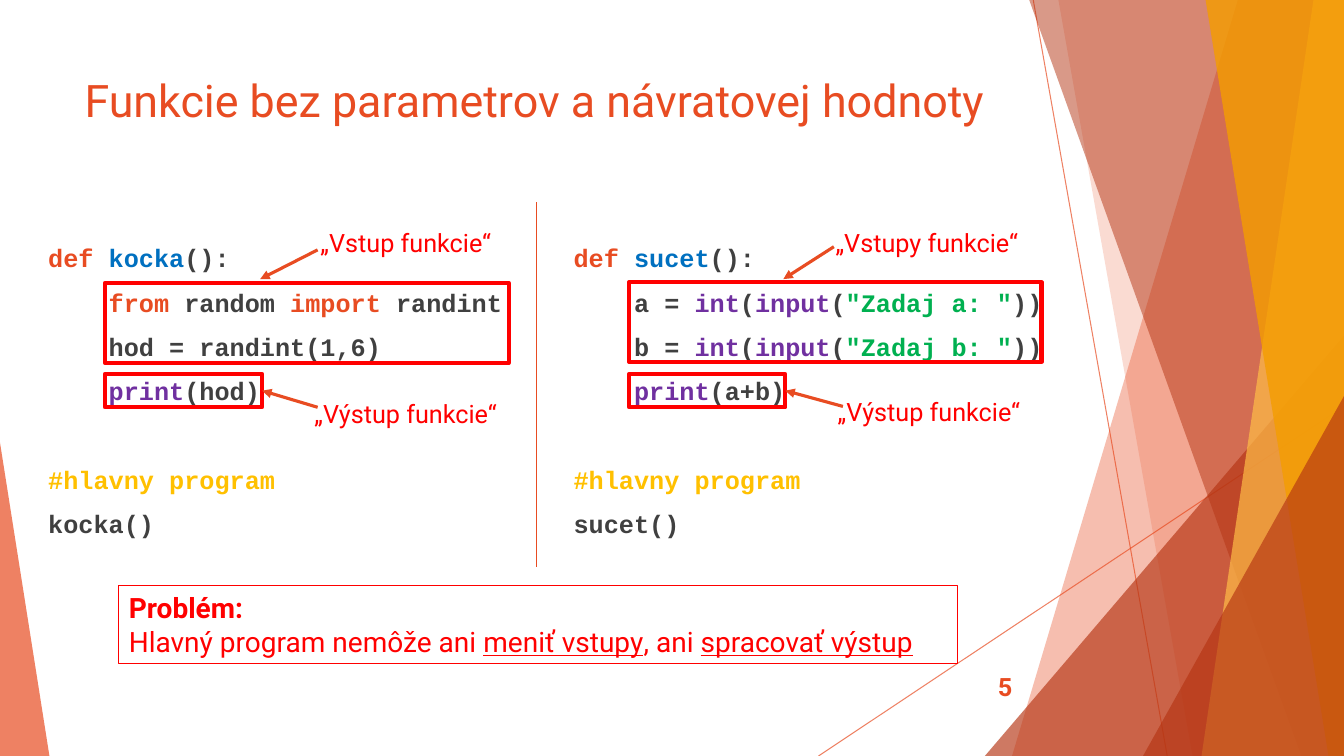
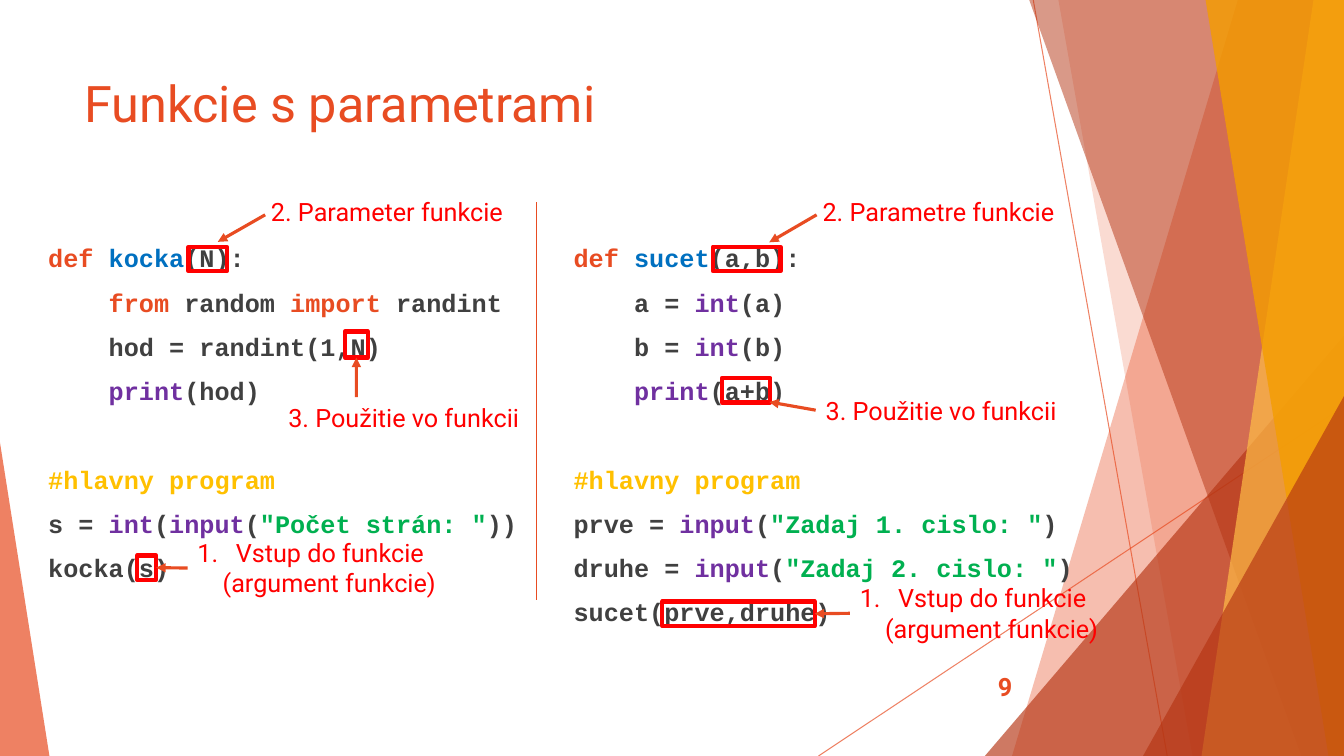
from dataclasses import dataclass
from typing import NamedTuple

from lxml import etree
from pptx import Presentation
from pptx import util as u
from pptx.dml.color import RGBColor
from pptx.enum import shapes, text
from pptx.oxml.ns import qn


@dataclass(frozen=True)
class Theme:
    accent: str = "E84C22"
    dark: str = "B53513"
    sand: str = "FFBD47"
    amber: str = "F49D00"
    mark: str = "FF0000"
    plain: str = "404040"
    function: str = "0070C0"
    builtin: str = "7030A0"
    string: str = "00B050"
    comment: str = "FFC000"
    sans: str = "Roboto"
    mono: str = "Courier New"
    body: float = 18
    problem: float = 20
    code_space: float = 10
    code_gap: float = 41.6


T = Theme()
WIDTH, HEIGHT = 13.33, 7.5
CHAR, LINE = 0.15, 0.44  # code grid: one character wide, one line high
CODE_TOP = 2.36
TOKEN_COLOURS = {
    **dict.fromkeys(("def", "from", "import"), T.accent),
    **dict.fromkeys(("kocka", "sucet"), T.function),
    **dict.fromkeys(("int", "input", "print"), T.builtin),
}


class Box(NamedTuple):
    x: float
    y: float
    w: float
    h: float


class Point(NamedTuple):
    x: float
    y: float


class Run(NamedTuple):
    text: str
    colour: str = T.mark
    size: float = T.body
    bold: bool = False
    underline: bool = False
    font: str = T.sans


class Ribbon(NamedTuple):
    """Band to the right slide edge; top and bottom in % of the width."""
    top: float
    bottom: float
    colour: str
    opacity: int


class Wedge(NamedTuple):
    """Right-angled triangle on the slide bottom, in % of the slide."""
    x: float
    y: float
    w: float
    apex: float
    colour: str
    opacity: int


class Note(NamedTuple):
    x: float
    y: float
    w: float
    lines: tuple[str, ...]


End = Point | int  # a free point, or a connection site


@dataclass(frozen=True)
class Callout:
    """Framed code, its note and the arrow between, on the code grid."""
    frame: Box
    note: Note
    start: End
    end: End


@dataclass(frozen=True)
class Panel:
    left: float
    width: float
    code: tuple[str, ...]
    callouts: tuple[Callout, ...]


@dataclass(frozen=True)
class Page:
    title: str
    title_size: float
    number: str
    divider_end: float
    panels: tuple[Panel, ...]
    problem: tuple[tuple[Run, ...], ...] = ()


DECOR = (
    Ribbon(92.1, 75.3, T.accent, 36),
    Ribbon(78.75, 88.73, T.accent, 20),
    Wedge(73.28, 44.4, 26.72, 1, T.dark, 66),
    Ribbon(76.58, 96.83, T.dark, 50),
    Ribbon(97.73, 89.4, T.sand, 70),
    Ribbon(89.7, 98.85, T.amber, 80),
    Wedge(85.05, 52.4, 14.95, 1, T.dark, 66),
    Wedge(0, 58.53, 3.68, 0, T.accent, 70),
)
RAYS = ((Point(76.88, 0), Point(86.85, 100)), (Point(100, 53.73), Point(60.9, 100)))
TITLE = Box(5.55, 8.93, 73.65, 19.2)
NUMBER = Box(70.43, 88.13, 5.63, 5.33)
PROBLEM = Box(8.85, 77.47, 62.4, 10.27)


def share(b: Box) -> Box:
    """Percent of the slide to inches."""
    return Box(b.x * WIDTH / 100, b.y * HEIGHT / 100, b.w * WIDTH / 100, b.h * HEIGHT / 100)


def share_point(p: Point) -> Point:
    return Point(p.x * WIDTH / 100, p.y * HEIGHT / 100)


def grid_point(left: float, p: Point) -> Point:
    return Point(left + p.x * CHAR, CODE_TOP + p.y * LINE)


def grid_box(left: float, b: Box) -> Box:
    return Box(*grid_point(left, Point(b.x, b.y)), b.w * CHAR, b.h * LINE)


def emu(values) -> list[int]:
    return [u.Inches(v) for v in values]


def set_opacity(element, percent: int) -> None:
    colour = next(element.iter(qn("a:srgbClr")))
    etree.SubElement(colour, qn("a:alpha"), val=str(percent * 1000))


def fill_shape(sp, colour: str, opacity: int) -> None:
    sp.shadow.inherit = False
    sp.line.fill.background()
    sp.fill.solid()
    sp.fill.fore_color.rgb = RGBColor.from_string(colour)
    set_opacity(sp.fill._xPr.find(qn("a:solidFill")), opacity)


def add_line(slide, start: Point, end: Point, weight: float, arrow=False, opacity=100):
    line = slide.shapes.add_connector(shapes.MSO_CONNECTOR.STRAIGHT, *emu((*start, *end)))
    line.line.width = u.Pt(weight)
    line.line.color.rgb = RGBColor.from_string(T.accent)
    ln = line.line._get_or_add_ln()
    if opacity < 100:
        set_opacity(ln, opacity)
    if arrow:
        etree.SubElement(ln, qn("a:tailEnd"), type="triangle")
    etree.SubElement(line._element.spPr, qn("a:effectLst"))
    return line


def add_frame(slide, box: Box, weight: float):
    sp = slide.shapes.add_shape(shapes.MSO_SHAPE.RECTANGLE, *emu(box))
    sp.shadow.inherit = False
    sp.fill.background()
    sp.line.color.rgb = RGBColor.from_string(T.mark)
    sp.line.width = u.Pt(weight)
    return sp


def write(p, runs) -> None:
    for item in runs:
        r = p.add_run()
        r.text = item.text
        r.font.name, r.font.size = item.font, u.Pt(item.size)
        r.font.bold, r.font.underline = item.bold, item.underline
        r.font.color.rgb = RGBColor.from_string(item.colour)


def add_text(slide, box: Box, paragraphs, wrap=True):
    sp = slide.shapes.add_textbox(*emu(box))
    fill_text(sp.text_frame, paragraphs)
    sp.text_frame.word_wrap = wrap
    return sp


def fill_text(tf, paragraphs) -> None:
    for i, runs in enumerate(paragraphs):
        p = tf.add_paragraph() if i else tf.paragraphs[0]
        p.alignment = text.PP_ALIGN.LEFT
        write(p, runs)


def indent(p, inches: float, hanging: float = 0) -> None:
    pPr = p._p.get_or_add_pPr()
    pPr.set("marL", str(u.Inches(inches)))
    pPr.set("indent", str(-u.Inches(hanging)))


def token_run(token: str) -> Run:
    colour = TOKEN_COLOURS.get(token.strip(), T.plain)
    if token.startswith("#"):
        colour = T.comment
    elif token.startswith('"'):
        colour = T.string
    return Run(token, colour, bold=True, font=T.mono)


def add_code(slide, panel: Panel) -> None:
    """An empty code line becomes space before the next one."""
    lines = [line for line in panel.code if line]
    runs = [[token_run(t) for t in line.lstrip().split("|")] for line in lines]
    sp = add_text(slide, Box(panel.left, CODE_TOP, panel.width, 4.24), runs)
    for line, p in zip(lines, sp.text_frame.paragraphs):
        after_gap = panel.code[panel.code.index(line) - 1] == ""
        p.space_before = u.Pt(T.code_gap if after_gap else T.code_space)
        indent(p, (len(line) - len(line.lstrip())) * CHAR)


def add_note(slide, left: float, note: Note):
    rows = 0.91 + 0.7 * (len(note.lines) - 1)
    box = grid_box(left, Box(note.x, note.y, note.w, rows))
    sp = add_text(slide, box, [[Run(line)] for line in note.lines], wrap=False)
    sp.text_frame.auto_size = text.MSO_AUTO_SIZE.SHAPE_TO_FIT_TEXT
    if len(note.lines) > 1:
        first, second = sp.text_frame.paragraphs
        indent(first, 0.38, 0.38)
        etree.SubElement(first._p.pPr, qn("a:buFont"), typeface="+mj-lt")
        etree.SubElement(first._p.pPr, qn("a:buAutoNum"), type="arabicPeriod")
        indent(second, 0.25)
    return sp


def add_callout(slide, left: float, c: Callout) -> None:
    frame = add_frame(slide, grid_box(left, c.frame), 3)
    note = add_note(slide, left, c.note)
    ends = [grid_point(left, e if isinstance(e, Point) else Point(0, 0)) for e in (c.start, c.end)]
    line = add_line(slide, *ends, 2.25, arrow=True)
    if isinstance(c.start, int):
        line.begin_connect(note, c.start)
    if isinstance(c.end, int):
        line.end_connect(frame, c.end)


def add_decor(slide) -> None:
    for start, end in RAYS:
        add_line(slide, share_point(start), share_point(end), 0.75, opacity=70)
    for d in DECOR:
        if isinstance(d, Ribbon):
            corners = [(d.top, 0), (100, 0), (100, 100), (d.bottom, 100)]
            points = [emu(share_point(Point(*c))) for c in corners]
            outline = slide.shapes.build_freeform(*points[0])
            outline.add_line_segments(points[1:], close=True)
            sp = outline.convert_to_shape()
        else:
            box = share(Box(d.x, d.y, d.w, 100 - d.y))
            sp = slide.shapes.add_shape(shapes.MSO_SHAPE.ISOSCELES_TRIANGLE, *emu(box))
            sp.adjustments[0] = d.apex
        fill_shape(sp, d.colour, d.opacity)


def add_page(prs, page: Page) -> None:
    slide = prs.slides.add_slide(prs.slide_layouts[6])
    add_decor(slide)
    add_text(slide, share(TITLE), [[Run(page.title, T.accent, page.title_size)]])
    number = add_text(slide, share(NUMBER), [[Run(page.number, T.accent, bold=True)]]).text_frame
    number.vertical_anchor = text.MSO_ANCHOR.MIDDLE
    number.paragraphs[0].alignment = text.PP_ALIGN.RIGHT
    for panel in page.panels:
        add_code(slide, panel)
        for c in panel.callouts:
            add_callout(slide, panel.left, c)
    if page.problem:
        fill_text(add_frame(slide, share(PROBLEM), 0.75).text_frame, page.problem)
    ends = [grid_point(LEFT, Point(32.93, row)) for row in (-0.8, page.divider_end)]
    add_line(slide, *ends, 1)


LEFT, RIGHT = 0.38, 5.59
DICE = ("    from| random |import| randint",)
ARGUMENT = ("Vstup do funkcie", "(argument funkcie)")
MAIN = ("", "#hlavny program")
PAGES = (
    Page("Funkcie bez parametrov a návratovej hodnoty", 32, "5", 7.43, (
        Panel(LEFT, 4.9, ("def |kocka|():", *DICE, "    hod = randint(1,6)",
                          "    print|(hod)", *MAIN, "kocka()"), (
            Callout(Box(4.4, 1.02, 26.7, 1.8), Note(18, -0.36, 13.4, ("„Vstup funkcie“",)),
                    Point(18.47, 0.27), Point(14.67, 0.93)),
            Callout(Box(4.4, 3.07, 10.4, 0.75), Note(17.6, 3.5, 14.2, ("„Výstup funkcie“",)),
                    Point(18.47, 3.82), 3))),
        Panel(RIGHT, 5.23, ("def |sucet|():", '    a = |int|(|input|(|"Zadaj a: "|))',
                            '    b = |int|(|input|(|"Zadaj b: "|))', "    print|(a+b)",
                            *MAIN, "sucet()"), (
            Callout(Box(4.33, 1, 27.27, 1.8), Note(17.33, -0.36, 14.2, ("„Vstupy funkcie“",)),
                    Point(17.87, 0.2), Point(14.53, 0.93)),
            Callout(Box(4.33, 3.07, 10.33, 0.75), Note(17.47, 3.45, 14.2, ("„Výstup funkcie“",)),
                    Point(18.47, 3.8), 3)))),
        ((Run("Problém:", size=T.problem, bold=True),),
         (Run("Hlavný program nemôže ani ", size=T.problem),
          Run("meniť vstupy", size=T.problem, underline=True), Run(", ani ", size=T.problem),
          Run("spracovať výstup", size=T.problem, underline=True)))),
    Page("Funkcie s parametrami", 36, "9", 8.16, (
        Panel(LEFT, 4.9, ("def |kocka|(N):", *DICE, "    hod = randint(1,N)", "    print|(hod)",
                          *MAIN, 's = |int|(|input|(|"Počet strán: "|))', "kocka(s)"), (
            Callout(Box(9.93, 0.2, 2.53, 0.55), Note(14.73, -1.05, 17.27, ("2. Parameter funkcie",)),
                    Point(15, -0.52), Point(11.87, 0.09)),
            Callout(Box(20.27, 2.11, 1.53, 0.59), Note(15.87, 3.59, 17.2, ("3. Použitie vo funkcii",)),
                    Point(21.03, 3.59), 2),
            Callout(Box(6.53, 7.16, 1.27, 0.55), Note(9.87, 6.64, 17.87, ARGUMENT), 1, 3))),
        Panel(RIGHT, 5.23, ("def |sucet|(a,b):", "    a = |int|(a)", "    b = |int|(b)",
                            "    print|(a+b)", *MAIN, 'prve = |input|(|"Zadaj 1. cislo: "|)',
                            'druhe = |input|(|"Zadaj 2. cislo: "|)', "sucet(prve,druhe)"), (
            Callout(Box(9.87, 0.2, 4.47, 0.55), Note(16.47, -1.05, 17.27, ("2. Parametre funkcie",)),
                    Point(16.73, -0.52), Point(13.6, 0.1)),
            Callout(Box(10.47, 3.16, 3.2, 0.55), Note(16.67, 3.43, 17.2, ("3. Použitie vo funkcii",)),
                    1, Point(13.6, 3.7)),
            Callout(Box(6.53, 8.2, 10.07, 0.55), Note(18.93, 7.66, 17.87, ARGUMENT), 1, 3))))),
)


def main() -> None:
    prs = Presentation()
    prs.slide_width, prs.slide_height = emu((WIDTH, HEIGHT))
    for page in PAGES:
        add_page(prs, page)
    prs.save("out.pptx")


if __name__ == "__main__":
    main()
